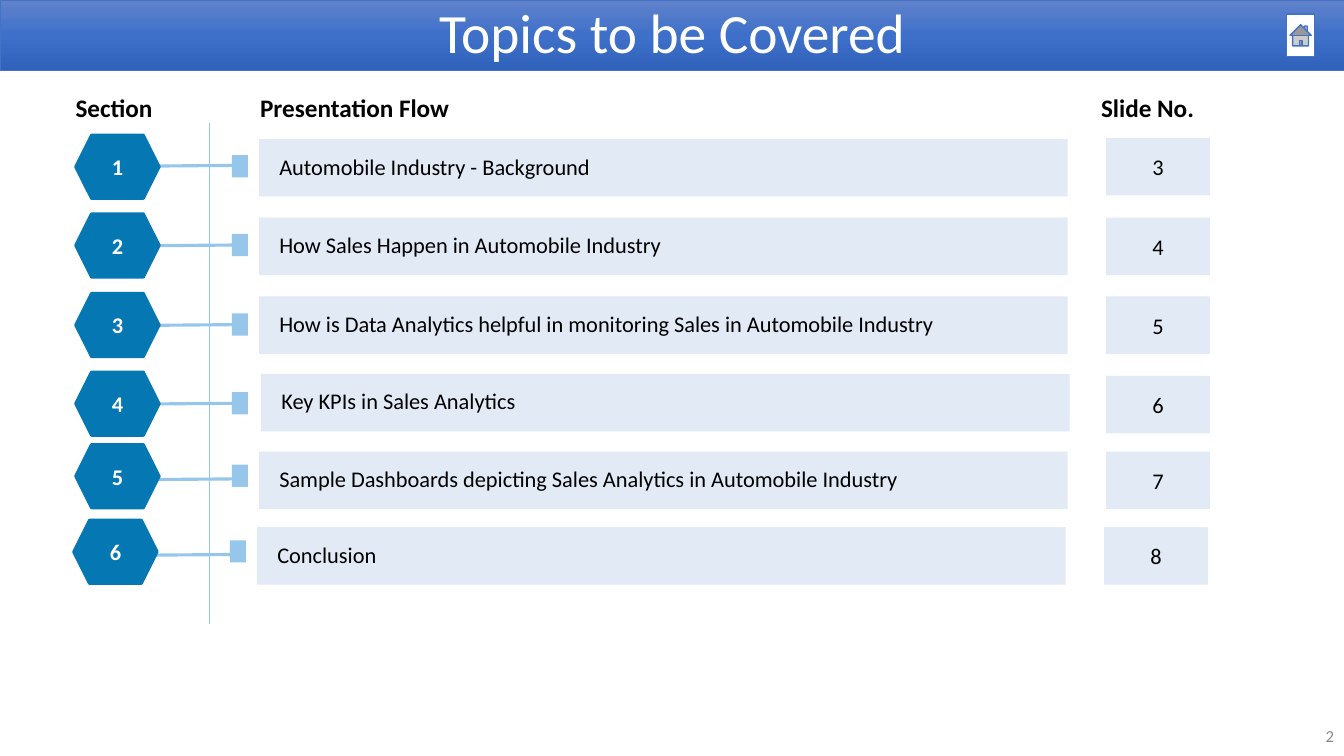
from collections import namedtuple
from copy import deepcopy

from lxml import etree
from pptx import Presentation
from pptx.dml.color import RGBColor
from pptx.enum.shapes import MSO_CONNECTOR, MSO_SHAPE
from pptx.enum.text import MSO_ANCHOR, PP_ALIGN
from pptx.oxml.ns import qn
from pptx.util import Inches, Pt

RECTANGLE, HEXAGON = MSO_SHAPE.RECTANGLE, MSO_SHAPE.HEXAGON
HOME_BUTTON = MSO_SHAPE.ACTION_BUTTON_HOME
STRAIGHT = MSO_CONNECTOR.STRAIGHT
MIDDLE = MSO_ANCHOR.MIDDLE
LEFT, CENTER, RIGHT = PP_ALIGN.LEFT, PP_ALIGN.CENTER, PP_ALIGN.RIGHT

FONT = "Calibri"
WIDTH, HEIGHT = 13.33, 7.5
MARGIN = 0.75
BLUE, DEEP_BLUE, SKY, PALE = "4472C4", "0578B3", "96C7EB", "E2EAF6"
BLACK, WHITE, GRAY = "000000", "FFFFFF", "8C8C8C"
BANNER_STOPS = [(0, "6183CB"), (0.5, "3E70CA"), (1, "3062BB")]

# Column offsets from the left edge of a row
LINK_START, LINK_END = 0.46, 1.69
MARKER_LEFT, TOPIC_LEFT, PAGE_LEFT = 1.55, 1.82, 10.22
HEXAGON_SIZE = (0.83, 0.63)
BAR_HEIGHT = 0.57

HEADINGS = [("Section", 0, 0.86), ("Presentation Flow", 1.83, 2.16),
            ("Slide No.", 10.17, 1.08)]

# Drops are measured from the top of the row; shifts run sideways
Row = namedtuple("Row", "topic top link_drop topic_drop page_drop topic_shift shift",
                 defaults=(0, 0))
ROWS = [
    Row("Automobile Industry - Background", 1.34, 0.31, 0.04, 0.03),
    Row("How Sales Happen in Automobile Industry", 2.12, 0.32, 0.04, 0.04),
    Row("How is Data Analytics helpful in monitoring Sales in Automobile Industry",
        2.91, 0.32, 0.03, 0.03),
    Row("Key KPIs in Sales Analytics", 3.69, 0.32, 0.02, 0.04, topic_shift=0.02),
    Row("Sample Dashboards depicting Sales Analytics in Automobile Industry",
        4.41, 0.35, 0.07, 0.07),
    Row("Conclusion", 5.16, 0.35, 0.07, 0.07, shift=-0.02),
]
FIRST_PAGE = 3


def color(hex_string):
    return RGBColor.from_string(hex_string)


def write(shape, text, size, hex_string, align=LEFT, bold=False,
          insets=(0, 0, 0, 0), spacing=1, wrap=True):
    frame = shape.text_frame
    frame.word_wrap = wrap
    frame.vertical_anchor = MIDDLE
    (frame.margin_left, frame.margin_top,
     frame.margin_right, frame.margin_bottom) = map(Inches, insets)
    para = frame.paragraphs[0]
    para.text = text
    para.alignment = align
    para.line_spacing = spacing
    para.font.name, para.font.size, para.font.bold = FONT, Pt(size), bold
    para.font.color.rgb = color(hex_string)


def add_block(page, kind, box, fill, line=None, line_width=1):
    shape = page.shapes.add_shape(kind, *map(Inches, box))
    shape.shadow.inherit = False
    shape.fill.solid()
    shape.fill.fore_color.rgb = color(fill)
    if line:
        shape.line.color.rgb = color(line)
        shape.line.width = Pt(line_width)
    else:
        shape.line.fill.background()
    return shape


def add_line(page, start, end, width):
    line = page.shapes.add_connector(STRAIGHT, *map(Inches, (*start, *end)))
    line.line.color.rgb = color(SKY)
    line.line.width = Pt(width)
    etree.SubElement(line._element.spPr, qn("a:effectLst"))


def add_label(page, box, *args, **options):
    label = page.shapes.add_textbox(*map(Inches, box))
    write(label, *args, **options)


def fill_gradient(shape, stops):
    """Fill downwards, with the middle stop cloned from the first."""
    shape.fill.gradient()
    shape.fill.gradient_angle = 270
    first = shape._element.spPr.find(".//" + qn("a:gs"))
    first.addnext(deepcopy(first))
    for stop, (position, hex_string) in zip(shape.fill.gradient_stops, stops):
        stop.position = position
        stop.color.rgb = color(hex_string)


def add_banner(page, left, top, width, height):
    title = page.shapes.title
    title.left, title.top, title.width, title.height = map(
        Inches, (left, top, width, height))
    fill_gradient(title, BANNER_STOPS)
    title.line.color.rgb = color(BLUE)
    title.line.width = Pt(0.5)
    write(title, "Topics to be Covered", 39.6, WHITE, CENTER,
          insets=(0.1, 0.05, 0.1, 0.05), spacing=0.9)
    button = (left + width - 0.57, top + height * 0.2, 0.28, height * 0.6)
    add_block(page, HOME_BUTTON, button, WHITE, BLUE)


def add_headings(page, left, top, height):
    for text, offset, width in HEADINGS:
        add_label(page, (left + offset, top, width, height), text, 18, BLACK,
                  bold=True, wrap=False)


def add_row(page, left, number, row):
    left += row.shift
    top = row.top
    link_top = top + row.link_drop
    add_line(page, (left + LINK_START, link_top),
             (left + LINK_END, link_top - 0.01), 2.25)
    add_block(page, RECTANGLE, (left + MARKER_LEFT, top + 0.2, 0.16, 0.22), SKY)

    topic_box = (left + TOPIC_LEFT + row.topic_shift, top + row.topic_drop,
                 8.02, BAR_HEIGHT)
    write(add_block(page, RECTANGLE, topic_box, PALE), row.topic, 16, BLACK,
          insets=(0.2, 0.1, 0.05, 0.1), spacing=0.9)

    page_box = (left + PAGE_LEFT, top + row.page_drop, 1.03, BAR_HEIGHT)
    write(add_block(page, RECTANGLE, page_box, PALE),
          str(FIRST_PAGE + number - 1), 16, BLACK, CENTER)

    hexagon = add_block(page, HEXAGON, (left, top, *HEXAGON_SIZE),
                        DEEP_BLUE, DEEP_BLUE, 2)
    write(hexagon, str(number), 16, WHITE, CENTER, bold=True,
          insets=(0.1, 0.05, 0.1, 0.05))


def add_agenda(page, left, top):
    add_headings(page, left, top, 0.3)
    add_line(page, (left + 1.33, top + 0.3), (left + 1.33, top + 5.27), 0.75)
    for number, row in enumerate(ROWS, 1):
        add_row(page, left, number, row)


def add_page_number(page, width, height):
    add_label(page, (WIDTH - width, HEIGHT - height, width, height), "2", 12,
              GRAY, RIGHT, insets=(0.1, 0.05, 0.1, 0.05))


def main():
    deck = Presentation()
    deck.slide_width, deck.slide_height = Inches(WIDTH), Inches(HEIGHT)
    page = deck.slides.add_slide(deck.slide_layouts.get_by_name("Title Only"))
    add_banner(page, 0, 0, WIDTH, 0.7)
    add_agenda(page, MARGIN, 0.92)
    add_page_number(page, 3.11, 0.4)
    deck.save("out.pptx")


if __name__ == "__main__":
    main()
